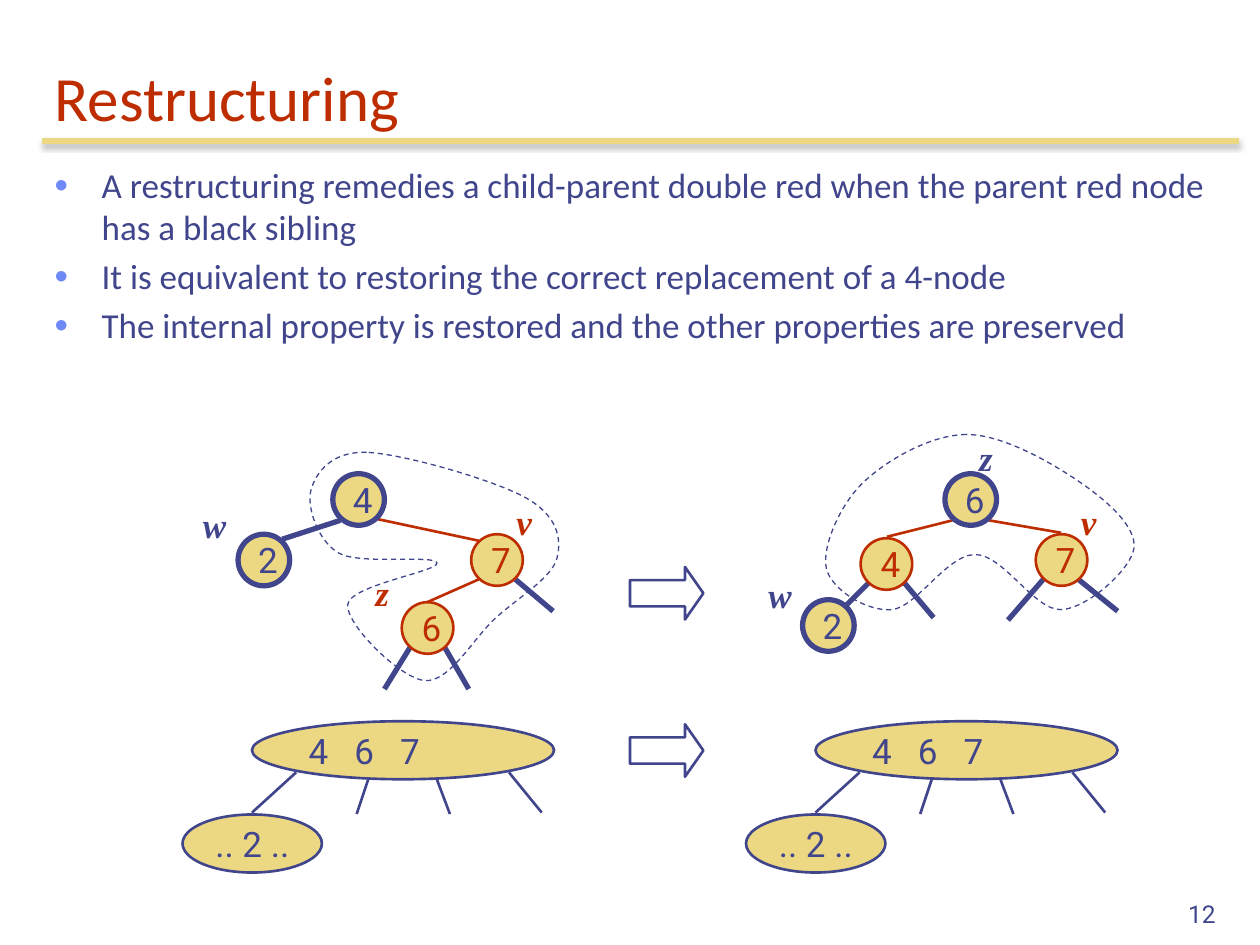
from dataclasses import dataclass

from lxml.etree import Element, SubElement
from pptx import Presentation
from pptx.dml.color import RGBColor
from pptx.enum.dml import MSO_LINE
from pptx.enum.shapes import MSO_CONNECTOR, MSO_SHAPE
from pptx.enum.text import MSO_ANCHOR, MSO_AUTO_SIZE, PP_ALIGN
from pptx.oxml.ns import qn
from pptx.util import Cm, Pt


@dataclass(frozen=True)
class Theme:
    navy: RGBColor = RGBColor(0x40, 0x45, 0x8C)
    red: RGBColor = RGBColor(0xBE, 0x2D, 0x00)
    sand: RGBColor = RGBColor(0xEC, 0xD8, 0x82)
    bullet: str = "6F89F7"
    title_size: Pt = Pt(36)
    text_size: Pt = Pt(20)
    number_size: Pt = Pt(14)
    thick: Pt = Pt(3)
    medium: Pt = Pt(1.5)
    thin: Pt = Pt(0.75)
    text_font: str = "Calibri"
    node_font: str = "Roboto"
    label_font: str = "Times New Roman"


theme = Theme()
deck = Presentation()
deck.slide_width, deck.slide_height = Cm(25.4), Cm(19.05)
page = deck.slides.add_slide(deck.slide_layouts[5])
shapes = page.shapes


def add_span(para, text, font, color, size=theme.text_size):
    """Append one formatted run to a left-aligned paragraph."""
    para.alignment = PP_ALIGN.LEFT
    span = para.add_run()
    span.text = text
    span.font.name, span.font.size = font, size
    span.font.color.rgb = color
    return span


def add_line(x1, y1, x2, y2, color, width):
    """Draw a straight line, in cm, and return its empty effect list."""
    line = shapes.add_connector(MSO_CONNECTOR.STRAIGHT, Cm(x1), Cm(y1), Cm(x2), Cm(y2))
    line.line.color.rgb, line.line.width = color, width
    return SubElement(line._element.spPr, qn("a:effectLst"))


# Title and the shaded rule below it
effects = add_line(0.85, 2.84, 24.97, 2.84, theme.sand, theme.thick)
shadow = SubElement(effects, qn("a:outerShdw"), blurRad=str(Pt(3.1)), dist=str(Pt(1.8)),
                    dir="5400000", rotWithShape="0")
shade = SubElement(shadow, qn("a:srgbClr"), val="000000")
SubElement(shade, qn("a:alpha"), val="35000")

title = shapes.title
title.left, title.top, title.width, title.height = Cm(0.85), Cm(0.85), Cm(24.13), Cm(1.98)
title.text_frame.vertical_anchor = MSO_ANCHOR.BOTTOM
title.text_frame.auto_size = MSO_AUTO_SIZE.NONE
add_span(title.text_frame.paragraphs[0], "Restructuring", theme.text_font, theme.red,
         theme.title_size)

# Bulleted text
body = shapes.add_textbox(Cm(0.85), Cm(3.18), Cm(24.13), Cm(14.4)).text_frame
body.word_wrap = True
points = [
    "A restructuring remedies a child-parent double red when the parent red node"
    " has a black sibling",
    "It is equivalent to restoring the correct replacement of a 4-node",
    "The internal property is restored and the other properties are preserved",
]
for index, point in enumerate(points):
    para = body.add_paragraph() if index else body.paragraphs[0]
    add_span(para, point, theme.text_font, theme.navy)
    para.space_before = Pt(4)
    props = para._p.get_or_add_pPr()
    props.set("marL", str(Cm(0.95)))
    props.set("indent", str(-Cm(0.95)))
    bullet_color = SubElement(props, qn("a:buClr"))
    SubElement(bullet_color, qn("a:srgbClr"), val=theme.bullet)
    SubElement(props, qn("a:buSzPct"), val="110000")
    SubElement(props, qn("a:buFont"), typeface="Arial")
    SubElement(props, qn("a:buChar"), char="•")

# Edges of the binary trees, before and after
red_edges = [
    (7.59, 10.46, 9.65, 10.9), (9.65, 11.68, 8.61, 12.14),
    (17.88, 10.82, 19.2, 10.49), (21.39, 10.74, 19.94, 10.49),
]
black_edges = [
    (8.97, 13.06, 9.45, 13.89), (8.26, 13.06, 7.75, 13.89),
    (10.39, 11.68, 11.15, 12.32), (6.86, 10.49, 5.69, 10.87),
    (18.24, 11.76, 18.82, 12.45), (21.03, 11.68, 20.32, 12.5),
    (21.74, 11.68, 22.53, 12.32), (17.5, 11.76, 17.07, 12.19),
]
for edge in red_edges:
    add_line(*edge, theme.red, theme.medium)
for edge in black_edges:
    add_line(*edge, theme.navy, theme.thick)

# Tree nodes, then the multiway nodes with their branches on both sides
node_size = 1.04
ellipses = [
    (text, x, y, node_size, node_size, color, theme.medium if color == theme.red else theme.thick)
    for text, x, y, color in [
        ("4", 6.71, 9.55, theme.navy), ("2", 4.8, 10.77, theme.navy),
        ("7", 9.5, 10.77, theme.red), ("6", 8.1, 12.14, theme.red),
        ("6", 19.05, 9.55, theme.navy), ("4", 17.35, 10.85, theme.red),
        ("7", 20.88, 10.77, theme.red), ("2", 16.18, 12.09, theme.navy),
    ]
]
branches = [
    (5.97, 15.57, 5.08, 16.38), (10.26, 15.57, 10.92, 16.38),
    (7.19, 16.41, 7.42, 15.72), (9.07, 16.41, 8.81, 15.72),
]
for shift in (0, 11.36):
    ellipses += [
        ("4   6   7", 5.08 + shift, 14.54, 6.09, 1.17, theme.navy, theme.medium),
        (".. 2 ..", 3.68 + shift, 16.42, 2.81, 1.17, theme.navy, theme.medium),
    ]
    for x1, y1, x2, y2 in branches:
        add_line(x1 + shift, y1, x2 + shift, y2, theme.navy, theme.medium)

for text, x, y, width, height, color, line_width in ellipses:
    node = shapes.add_shape(MSO_SHAPE.OVAL, Cm(x), Cm(y), Cm(width), Cm(height))
    node.shadow.inherit = False
    node.fill.solid()
    node.fill.fore_color.rgb = theme.sand
    node.line.color.rgb, node.line.width = color, line_width
    node.text_frame.word_wrap = False
    node.text_frame.vertical_anchor = MSO_ANCHOR.MIDDLE
    add_span(node.text_frame.paragraphs[0], text, theme.node_font, color)

# Node names
for text, x, y, width, color in [
    ("z", 7.32, 11.4, 1.22, theme.red), ("v", 10.16, 9.97, 1.12, theme.red),
    ("w", 3.84, 10.03, 1.4, theme.navy), ("z", 19.49, 8.68, 1.22, theme.navy),
    ("v", 21.54, 9.97, 1.12, theme.red), ("w", 15.24, 11.43, 1.4, theme.navy),
]:
    box = shapes.add_textbox(Cm(x), Cm(y), Cm(width), Cm(1.09))
    box.text_frame.word_wrap = True
    span = add_span(box.text_frame.paragraphs[0], text, theme.label_font, color)
    span.font.bold = span.font.italic = True

# Dashed outlines: closed smooth curves, each knot's tangent parallel to its neighbours' chord
outlines = [
    [(7.39, 9.12), (6.27, 9.88), (6.83, 11.15), (8.81, 11.35), (7.01, 12.19),
     (8.56, 13.72), (9.98, 12.47), (11.23, 11.25), (10.59, 10.03)],
    [(19.48, 8.76), (17.4, 9.73), (16.66, 11.46), (17.98, 12.29),
     (19.66, 11.18), (21.39, 12.29), (22.86, 11.05), (21.74, 9.7)],
]
for outline_knots in outlines:
    knots = [(Cm(x), Cm(y)) for x, y in outline_knots]
    builder = shapes.build_freeform(*knots[0])
    builder.add_line_segments(knots[1:] + knots[:1], close=True)
    outline = builder.convert_to_shape()
    outline.shadow.inherit = False
    outline.fill.background()
    outline.line.color.rgb, outline.line.width = theme.navy, theme.thin
    outline.line.dash_style = MSO_LINE.DASH
    for i, segment in enumerate(list(outline._element.iter(qn("a:lnTo")))):
        before, start, end, after = (knots[(i + k) % len(knots)] for k in (-1, 0, 1, 2))
        leaving = [s + (e - b) / 6 for b, s, e in zip(before, start, end)]
        arriving = [e - (a - s) / 6 for s, e, a in zip(start, end, after)]
        curve = Element(qn("a:cubicBezTo"))
        for x, y in (leaving, arriving, end):
            SubElement(curve, qn("a:pt"), x=str(round(x - outline.left)),
                       y=str(round(y - outline.top)))
        segment.getparent().replace(segment, curve)

# Block arrows from before to after
for y in (11.43, 14.6):
    arrow = shapes.add_shape(MSO_SHAPE.RIGHT_ARROW, Cm(12.7), Cm(y), Cm(1.48), Cm(1.06))
    arrow.adjustments[0], arrow.adjustments[1] = 0.5, 0.35
    arrow.shadow.inherit = False
    arrow.fill.background()
    arrow.line.color.rgb, arrow.line.width = theme.navy, theme.medium

# Page number
number = shapes.add_textbox(Cm(19.48), Cm(17.58), Cm(5.28), Cm(1.27)).text_frame
number.word_wrap = True
number.vertical_anchor = MSO_ANCHOR.BOTTOM
add_span(number.paragraphs[0], "12", theme.node_font, theme.navy, theme.number_size)
number.paragraphs[0].alignment = PP_ALIGN.RIGHT

deck.save("out.pptx")
